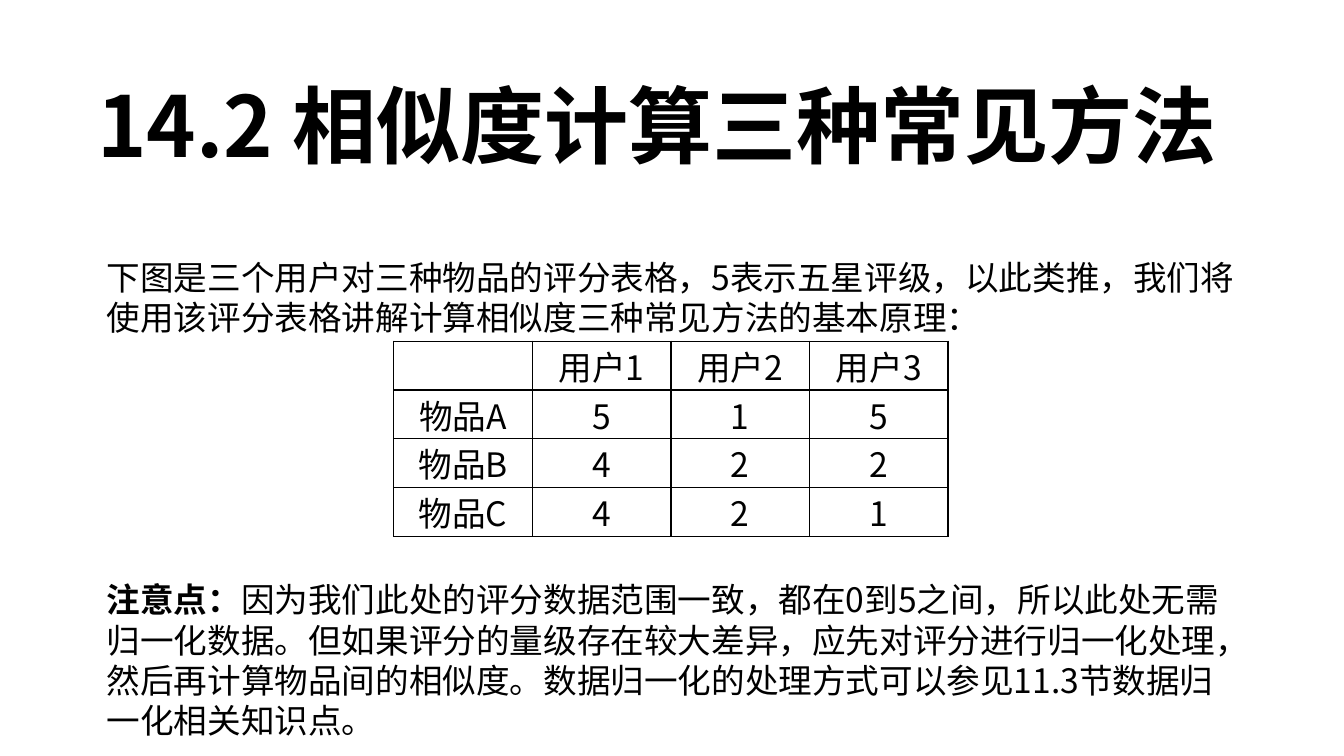
from dataclasses import dataclass

from lxml import etree
from pptx import Presentation
from pptx import util as u
from pptx.dml.color import RGBColor
from pptx.enum import text
from pptx.oxml.ns import qn

PX = 9525  # EMU per px, 1280 x 720 px slide


@dataclass(frozen=True)
class Theme:
    font: str = "Noto Sans CJK SC"
    ink: str = "000000"
    paper: str = "FFFFFF"
    title: int = 60
    body: int = 24
    leading: float = 1.2
    rule: int = 1


THEME = Theme()

TITLE = "14.2 相似度计算三种常见方法"
INTRO = ("下图是三个用户对三种物品的评分表格，5表示五星评级，以此类推，"
         "我们将使用该评分表格讲解计算相似度三种常见方法的基本原理：")
NOTE_LABEL = "注意点："
NOTE = ("因为我们此处的评分数据范围一致，都在0到5之间，所以此处无需归一化数据。"
        "但如果评分的量级存在较大差异，应先对评分进行归一化处理，"
        "然后再计算物品间的相似度。"
        "数据归一化的处理方式可以参见11.3节数据归一化相关知识点。")
RATINGS = [
    ["", "用户1", "用户2", "用户3"],
    ["物品A", "5", "1", "5"],
    ["物品B", "4", "2", "2"],
    ["物品C", "4", "2", "1"],
]


def px(n):
    return u.Emu(n * PX)


def add_text(p, words, size=THEME.body, bold=False):
    r = p.add_run()
    r.text = words
    r.font.size = u.Pt(size)
    r.font.bold = bold
    r.font.name = THEME.font
    r.font.color.rgb = RGBColor.from_string(THEME.ink)
    ea = etree.SubElement(r._r.get_or_add_rPr(), qn("a:ea"))
    ea.set("typeface", THEME.font)


def format_paragraph(p, size, before=0):
    p.alignment = text.PP_ALIGN.LEFT
    p.line_spacing = u.Pt(size * THEME.leading)
    p.space_before = px(before)
    p.space_after = u.Pt(0)


def place(sp, box, wrap):
    sp.left, sp.top, sp.width, sp.height = map(px, box)
    tf = sp.text_frame
    tf.word_wrap = wrap
    tf.auto_size = text.MSO_AUTO_SIZE.NONE
    tf.vertical_anchor = text.MSO_ANCHOR.TOP
    return tf


def fill_title(s, box):
    p = place(s.shapes.title, box, wrap=False).paragraphs[0]
    format_paragraph(p, THEME.title)
    add_text(p, TITLE, size=THEME.title, bold=True)


def fill_body(s, box, table_gap):
    tf = place(s.placeholders[1], box, wrap=True)
    intro, note = tf.paragraphs[0], tf.add_paragraph()
    for p, before in ((intro, 0), (note, table_gap)):
        format_paragraph(p, THEME.body, before)
        pPr = p._p.get_or_add_pPr()
        pPr.set("marL", "0")
        pPr.set("indent", "0")
        etree.SubElement(pPr, qn("a:buNone"))
    add_text(intro, INTRO)
    add_text(note, NOTE_LABEL, bold=True)
    add_text(note, NOTE)


def add_borders(cell):
    tcPr = cell._tc.get_or_add_tcPr()
    for i, side in enumerate(("lnL", "lnR", "lnT", "lnB")):
        ln = etree.Element(qn(f"a:{side}"), w=str(u.Pt(THEME.rule)))
        fill = etree.SubElement(ln, qn("a:solidFill"))
        etree.SubElement(fill, qn("a:srgbClr"), val=THEME.ink)
        tcPr.insert(i, ln)


def add_ratings(s, box):
    rows, cols = len(RATINGS), len(RATINGS[0])
    table = s.shapes.add_table(rows, cols, *map(px, box)).table
    table.first_row = table.horz_banding = False
    for i, row in enumerate(RATINGS):
        for j, words in enumerate(row):
            cell = table.cell(i, j)
            cell.margin_top = cell.margin_bottom = 0
            cell.margin_left = cell.margin_right = px(4)
            cell.vertical_anchor = text.MSO_ANCHOR.MIDDLE
            cell.fill.solid()
            cell.fill.fore_color.rgb = RGBColor.from_string(THEME.paper)
            add_borders(cell)
            if words:
                p = cell.text_frame.paragraphs[0]
                p.alignment = text.PP_ALIGN.CENTER
                add_text(p, words)


def main():
    prs = Presentation()
    prs.slide_width, prs.slide_height = px(1280), px(720)
    s = prs.slides.add_slide(prs.slide_layouts[1])

    # Heading, text above and below the table, then the table in the gap
    fill_title(s, (83, 65, 1116, 107))
    fill_body(s, (92, 240, 1096, 475), table_gap=230)
    add_ratings(s, (375, 325, 528, 184))

    prs.save("out.pptx")


if __name__ == "__main__":
    main()
